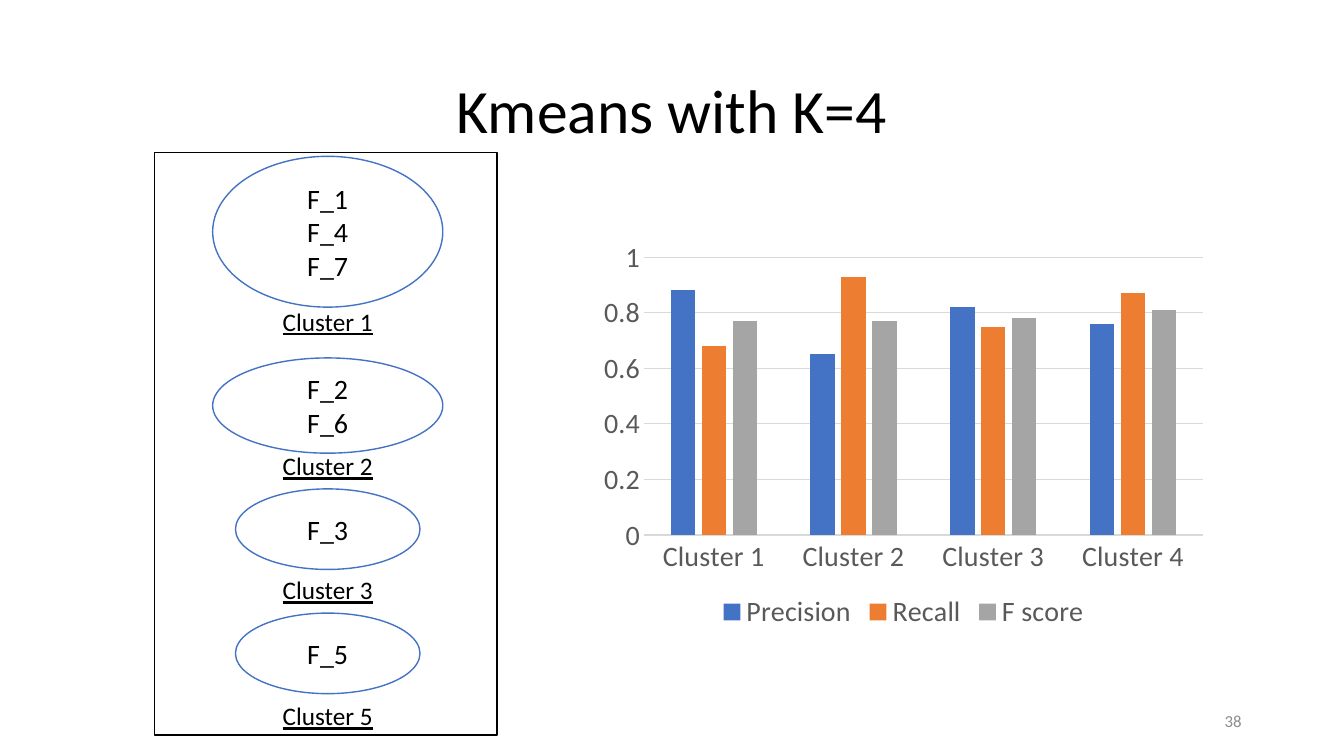
"""Build a slide with k-means clusters beside a chart of their scores."""
from lxml import etree
from pptx import Presentation
from pptx.chart.data import CategoryChartData
from pptx.dml.color import RGBColor
from pptx.enum.chart import XL_CHART_TYPE, XL_LEGEND_POSITION, XL_TICK_MARK
from pptx.enum.shapes import MSO_SHAPE
from pptx.enum.text import MSO_ANCHOR, MSO_AUTO_SIZE, PP_ALIGN
from pptx.util import Cm, Pt

BARS = XL_CHART_TYPE.COLUMN_CLUSTERED
BOTTOM = XL_LEGEND_POSITION.BOTTOM
NO_TICK = XL_TICK_MARK.NONE
RECT, OVAL = MSO_SHAPE.RECTANGLE, MSO_SHAPE.OVAL
MIDDLE = MSO_ANCHOR.MIDDLE
GROW = MSO_AUTO_SIZE.SHAPE_TO_FIT_TEXT
CENTER, RIGHT = PP_ALIGN.CENTER, PP_ALIGN.RIGHT
FONT = "Calibri"
COLORS = {"black": "000000", "blue": "4472C4", "orange": "ED7D31",
          "gray": "A5A5A5", "text": "595959", "grid": "D9D9D9",
          "number": "8C8C8C"}


def style(font, size, color):
    font.name = FONT
    font.size = Pt(size)
    font.color.rgb = RGBColor.from_string(COLORS[color])


def write(frame, lines, size, color="black", align=CENTER):
    for i, line in enumerate(lines):
        para = frame.add_paragraph() if i else frame.paragraphs[0]
        para.alignment = align
        run = para.add_run()
        run.text = line
        style(run.font, size, color)


deck = Presentation()
deck.slide_width, deck.slide_height = Cm(33.87), Cm(19.05)
slide = deck.slides.add_slide(deck.slide_layouts[5])
shapes = slide.shapes

title = shapes.title
title.left, title.top, title.width, title.height = Cm(2.33), Cm(1.01), Cm(29.21), Cm(3.68)
title.text_frame.vertical_anchor = MIDDLE
write(title.text_frame, ["Kmeans with K=4"], 44)
title.text_frame.paragraphs[0].line_spacing = 0.9

frame = shapes.add_shape(RECT, Cm(3.89), Cm(3.84), Cm(8.64), Cm(14.68))
frame.shadow.inherit = False
frame.fill.background()
frame.line.color.rgb = RGBColor.from_string(COLORS["black"])
frame.line.width = Pt(1)

mid = 8.26
clusters = [
    ("Cluster 1", ["F_1", "F_4", "F_7"], 3.94, 5.8, 3.8, 7.59),
    ("Cluster 2", ["F_2", "F_6"], 9.02, 5.8, 2.4, 11.23),
    ("Cluster 3", ["F_3"], 12.32, 4.65, 2.03, 14.35),
    ("Cluster 5", ["F_5"], 15.45, 4.65, 2.03, 17.53),
]
for name, items, top, width, height, below in clusters:
    oval = shapes.add_shape(OVAL, Cm(mid - width / 2), Cm(top), Cm(width), Cm(height))
    oval.shadow.inherit = False
    oval.fill.background()
    oval.line.color.rgb = RGBColor.from_string(COLORS["blue"])
    oval.line.width = Pt(1)
    oval.text_frame.vertical_anchor = MIDDLE
    write(oval.text_frame, items, 20)

    label = shapes.add_textbox(Cm(mid - 1.4), Cm(below), Cm(2.8), Cm(1.03))
    label.text_frame.word_wrap = False
    label.text_frame.auto_size = GROW
    write(label.text_frame, [name], 18)
    label.text_frame.paragraphs[0].runs[0].font.underline = True

scores = [
    ("Precision", [0.88, 0.65, 0.82, 0.76], "blue"),
    ("Recall", [0.68, 0.93, 0.75, 0.87], "orange"),
    ("F score", [0.77, 0.77, 0.78, 0.81], "gray"),
]
data = CategoryChartData()
data.categories = [f"Cluster {n}" for n in range(1, 5)]
for name, values, color in scores:
    data.add_series(name, values)
chart = shapes.add_chart(BARS, Cm(14.91), Cm(5.84), Cm(15.72), Cm(10.16), data).chart
style(chart.font, 20, "text")
chart.has_title = False
chart.has_legend = True
chart.legend.position = BOTTOM
chart.legend.include_in_layout = False
style(chart.legend.font, 20, "text")

plot = chart.plots[0]
plot.gap_width, plot.overlap, plot.vary_by_categories = 219, -27, False
for series, (name, values, color) in zip(plot.series, scores):
    series.format.fill.solid()
    series.format.fill.fore_color.rgb = RGBColor.from_string(COLORS[color])

cats, vals = chart.category_axis, chart.value_axis
for axis in (cats, vals):
    axis.major_tick_mark = axis.minor_tick_mark = NO_TICK
    style(axis.tick_labels.font, 20, "text")
vals.minimum_scale, vals.maximum_scale, vals.major_unit = 0, 1, 0.2
vals.tick_labels.number_format = "General"
vals.tick_labels.number_format_is_linked = False
vals.format.line.fill.background()
vals.has_major_gridlines = True
for line in (cats.format.line, vals.major_gridlines.format.line):
    line.color.rgb = RGBColor.from_string(COLORS["grid"])
    line.width = Pt(0.75)

number = shapes.add_textbox(Cm(23.92), Cm(17.66), Cm(7.62), Cm(1.01))
number.text_frame.word_wrap = True
number.text_frame.vertical_anchor = MIDDLE
write(number.text_frame, ["38"], 12, "number", RIGHT)

deck.save("out.pptx")
